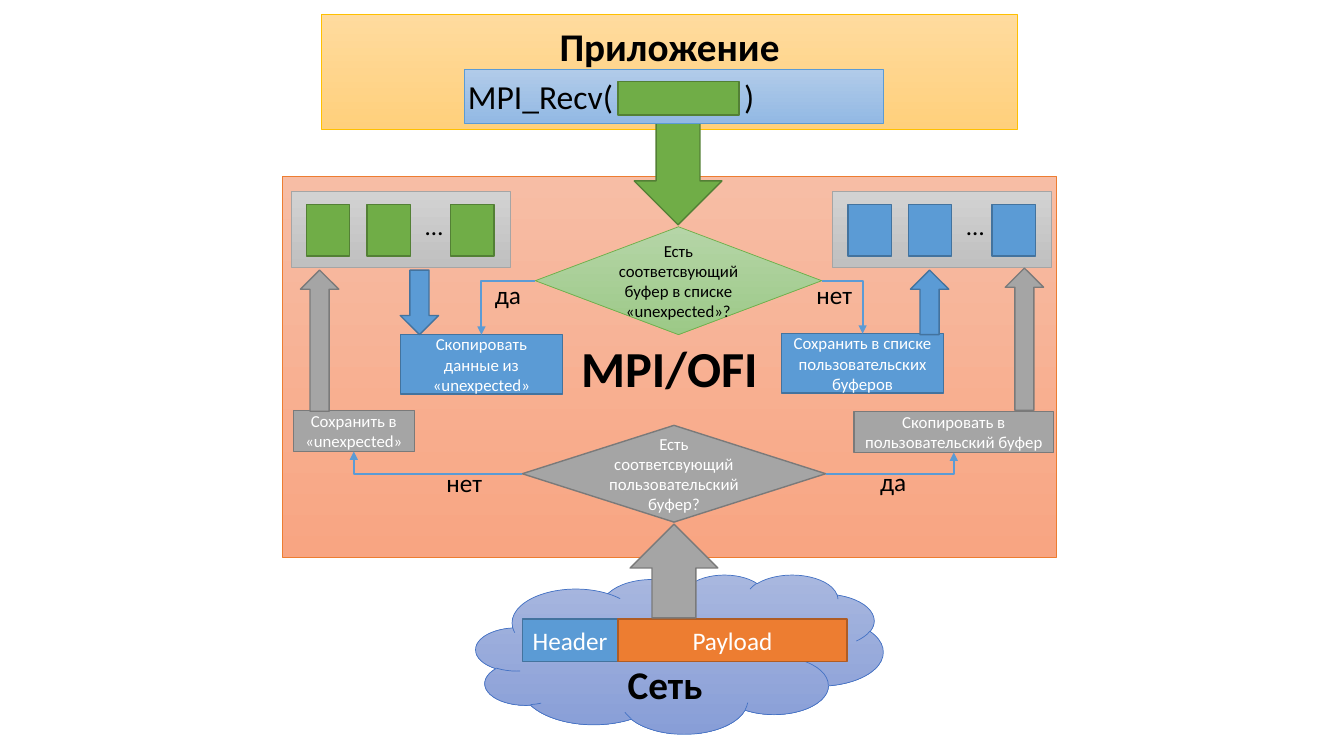
from lxml.etree import SubElement
from pptx import Presentation
from pptx.dml.color import RGBColor
from pptx.enum.shapes import MSO_CONNECTOR as Link, MSO_SHAPE as Kind
from pptx.enum.text import MSO_ANCHOR as Anchor, PP_ALIGN as Align
from pptx.oxml.ns import qn
from pptx.util import Inches, Pt

HEX = {
    "black": "000000", "white": "FFFFFF",
    "blue": "5B9BD5", "navy": "43739E",
    "green": "70AD47", "moss": "538035",
    "grey": "A5A5A5", "slate": "7A7A7A",
    "orange": "ED7D31", "rust": "AF5C24",
    "gold": "FFC000", "indigo": "4472C4",
}
# Gradients run from top to bottom
FADE = {
    "orange": ("F7BDA5", "F8A582"), "indigo": ("A8B7DF", "889ED7"),
    "grey": ("D2D2D2", "C0C0C0"), "green": ("B5D5A7", "9CC987"),
    "gold": ("FFDB9E", "FFD07C"), "blue": ("B1CBE9", "93B9E4"),
}
EDGE = {"blue": "navy", "green": "moss", "grey": "slate", "orange": "rust"}


def rgb(name):
    return RGBColor.from_string(HEX[name])


def add_run(para, text, size, color, bold=False):
    run = para.add_run()
    run.text = text
    font = run.font
    font.name, font.size, font.bold = "Calibri", Pt(size), bold
    font.color.rgb = rgb(color)


def write(shape, lines, size, color="white", bold=False,
          align=Align.CENTER, inset=(0.1, 0.05, 0.1, 0.05)):
    frame = shape.text_frame
    frame.word_wrap = True
    frame.vertical_anchor = Anchor.MIDDLE
    (frame.margin_left, frame.margin_top,
     frame.margin_right, frame.margin_bottom) = map(Inches, inset)
    for i, line in enumerate(lines):
        para = frame.add_paragraph() if i else frame.paragraphs[0]
        para.alignment = align
        add_run(para, line, size, color, bold)
    return frame


def add_box(slide, at, color, kind=Kind.RECTANGLE, fade=False, turn=0):
    shape = slide.shapes.add_shape(kind, *map(Inches, at))
    shape.shadow.inherit = False
    shape.rotation = turn
    fill = shape.fill
    if fade:
        fill.gradient()
        fill.gradient_angle = 270
        for stop, tone in zip(fill.gradient_stops, FADE[color]):
            stop.color.rgb = RGBColor.from_string(tone)
    else:
        fill.solid()
        fill.fore_color.rgb = rgb(color)
    shape.line.color.rgb = rgb(color if fade else EDGE[color])
    shape.line.width = Pt(0.5 if fade else 1)
    return shape


def add_step(slide, at, color, text, size=12):
    box = add_box(slide, at, color)
    write(box, [text], size)
    return box


def add_arrow(slide, at, color, turn=0):
    add_box(slide, at, color, Kind.UP_ARROW, turn=turn)


def add_label(slide, at, text):
    box = slide.shapes.add_textbox(*map(Inches, at))
    frame = box.text_frame
    frame.word_wrap = False
    add_run(frame.paragraphs[0], text, 18, "black")


def add_queue(slide, left, color):
    add_box(slide, (left, 1.9, 2.17, 0.75), "grey", fade=True)
    for shift in (0.15, 0.75, 1.58):
        add_box(slide, (left + shift, 2.03, 0.43, 0.51), color)
    add_label(slide, (left + 1.23, 2.04, 0.56, 0.39), "…")


def add_branch(slide, start, side, end, site):
    """Elbow arrow: sideways out of a decision, then up or down to a step."""
    conn = slide.shapes.add_connector(Link.ELBOW, 0, 0, 0, 0)
    conn.begin_connect(start, side)
    conn.end_connect(end, site)
    conn.line.color.rgb = rgb("blue")
    conn.line.width = Pt(1.5)
    props = conn.element.spPr
    props.find(qn("a:prstGeom")).set("prst", "bentConnector2")
    SubElement(props.find(qn("a:ln")), qn("a:tailEnd"), type="triangle")
    SubElement(props, qn("a:effectLst"))


def add_net(slide):
    cloud = add_box(slide, (4.72, 5.7, 4.04, 1.58), "indigo", Kind.CLOUD, True)
    write(cloud, ["Сеть"], 28, "black", True, inset=(0.1, 0.67, 0.1, 0))
    add_step(slide, (5.18, 6.14, 0.95, 0.42), "blue", "Header", 18)
    add_step(slide, (6.13, 6.14, 2.27, 0.42), "orange", "Payload", 18)
    add_arrow(slide, (6.25, 5.2, 0.87, 0.93), "grey")


def add_flow(slide):
    # Decisions
    net = add_box(slide, (5.18, 4.22, 3.01, 0.96), "grey", Kind.FLOWCHART_DECISION)
    write(net, ["Есть соответсвующий", "пользовательский буфер?"], 12)
    app = add_box(slide, (5.31, 2.25, 2.84, 1.07), "green",
                  Kind.FLOWCHART_DECISION, True)
    write(app, ["Есть соответсвующий буфер в списке", "«unexpected»?"], 12, "black")

    # Buffer lists
    add_queue(slide, 8.26, "blue")
    add_queue(slide, 2.89, "green")

    # Steps
    keep = add_step(slide, (2.91, 4.07, 1.2, 0.41), "grey",
                    "Сохранить в «unexpected»")
    copy = add_step(slide, (8.47, 4.08, 1.98, 0.41), "grey",
                    "Скопировать в пользовательский буфер")
    take = add_step(slide, (3.97, 3.32, 1.61, 0.59), "blue",
                    "Скопировать данные из «unexpected»")
    post = add_step(slide, (7.75, 3.31, 1.61, 0.59), "blue",
                    "Сохранить в списке пользовательских буферов")

    # Branches: decision, its side, step, its side
    for branch in ((net, 1, keep, 2), (net, 3, copy, 2),
                   (app, 1, take, 0), (app, 3, post, 0)):
        add_branch(slide, *branch)
    for left, top, width, text in ((4.33, 4.59, 0.56, "нет"), (8.63, 4.58, 0.46, "да"),
                                   (4.81, 2.72, 0.46, "да"), (8, 2.72, 0.56, "нет")):
        add_label(slide, (left, top, width, 0.4), text)

    # Moves between steps and lists
    add_arrow(slide, (2.98, 2.68, 0.38, 1.4), "grey")
    add_arrow(slide, (9.97, 2.66, 0.38, 1.41), "grey")
    add_arrow(slide, (3.97, 2.68, 0.38, 0.64), "blue", 180)
    add_arrow(slide, (9.03, 2.68, 0.38, 0.64), "blue")


def add_app(slide):
    app = add_box(slide, (3.19, 0.14, 6.9, 1.14), "gold", fade=True)
    write(app, ["Приложение"], 28, "black", True, inset=(0.1, 0, 0.1, 0.51))
    add_arrow(slide, (6.29, 1.22, 0.87, 1.01), "green", 180)
    call = add_box(slide, (4.61, 0.69, 4.15, 0.53), "blue", fade=True)
    frame = write(call, ["MPI_Recv("], 24, "black", align=Align.LEFT,
                  inset=(0.03, 0.05, 0.1, 0.05))
    # A tab stop leaves room for the buffer between the brackets
    para = frame.paragraphs[0]
    add_run(para, "\t)", 24, "black")
    tabs = SubElement(para._p.get_or_add_pPr(), qn("a:tabLst"))
    SubElement(tabs, qn("a:tab"), pos=str(Inches(2.74)), algn="l")
    add_box(slide, (6.13, 0.81, 1.2, 0.33), "green")


def main():
    deck = Presentation()
    deck.slide_width, deck.slide_height = Inches(13.33), Inches(7.5)
    slide = deck.slides.add_slide(deck.slide_layouts[6])
    layer = add_box(slide, (2.8, 1.75, 7.68, 3.78), "orange", fade=True)
    write(layer, ["MPI/OFI"], 36, "black", True)
    add_net(slide)
    add_flow(slide)
    add_app(slide)
    deck.save("out.pptx")


if __name__ == "__main__":
    main()
